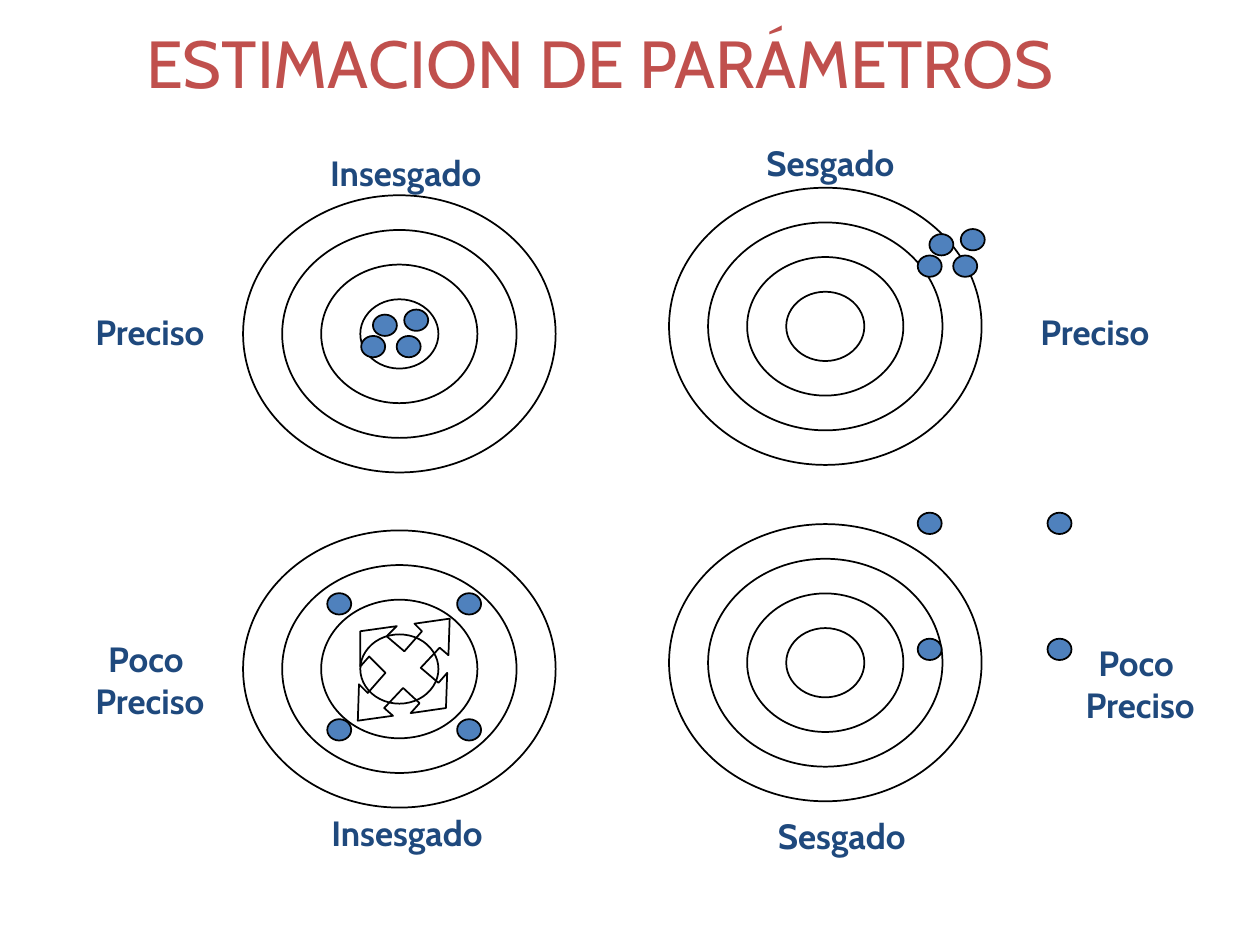
"""Build a slide on bias and precision in parameter estimation, with four targets."""
from pptx import Presentation
from pptx.dml.color import RGBColor
from pptx.enum.shapes import MSO_SHAPE as SHAPE
from pptx.enum.text import MSO_ANCHOR as ANCHOR, MSO_AUTO_SIZE as AUTO, PP_ALIGN as ALIGN
from pptx.util import Pt

RED = RGBColor(0xC0, 0x50, 0x4D)
NAVY = RGBColor(0x1F, 0x49, 0x7D)
BLUE = RGBColor(0x4F, 0x81, 0xBD)
BLACK = RGBColor(0, 0, 0)

TITLE_FONT = {"name": "Cabin", "size": Pt(38), "bold": False}
LABEL_FONT = {"name": "Cabin", "size": Pt(20), "bold": True}
LABEL_FRAME = {"word_wrap": False, "vertical_anchor": ANCHOR.MIDDLE,
               "auto_size": AUTO.SHAPE_TO_FIT_TEXT}


def outline(sp, fill=None):
    sp.shadow.inherit = False
    if fill is None:
        sp.fill.background()
    else:
        sp.fill.solid()
        sp.fill.fore_color.rgb = fill
    sp.line.color.rgb = BLACK
    sp.line.width = Pt(1)


def write(p, text, font, color):
    r = p.add_run()
    r.text = text
    for key, value in font.items():
        setattr(r.font, key, value)
    r.font.color.rgb = color


prs = Presentation()
prs.slide_width, prs.slide_height = Pt(720), Pt(540)
s = prs.slides.add_slide(prs.slide_layouts[5])

title = s.shapes.title
title.left, title.top, title.width, title.height = Pt(76.3), Pt(8.6), Pt(640.8), Pt(53.3)
p = title.text_frame.paragraphs[0]
p.alignment = ALIGN.LEFT
write(p, "ESTIMACION DE PARÁMETROS", TITLE_FONT, RED)

RING_W, RING_H = 178.6, 158.4
targets = [(228.2, 382.3), (471.6, 186.5), (471.6, 378.7), (228.2, 190.8)]
for cx, cy in targets:
    target = s.shapes.add_group_shape()
    for scale in (1, 0.25, 0.5, 0.75):
        w, h = RING_W * scale, RING_H * scale
        outline(target.shapes.add_shape(
            SHAPE.OVAL, Pt(cx - w / 2), Pt(cy - h / 2), Pt(w), Pt(h)))

DOT_W, DOT_H = 13.7, 12.2
TIGHT = [(20.3, 0), (0, 0), (6.7, -12.2), (24.6, -15.1)]
SPREAD = [(74.2, 0), (0, 0), (0, -72), (74.2, -72)]
clusters = [(206.4, 192, TIGHT), (524.4, 146, TIGHT),
            (187, 411, SPREAD), (524.4, 365, SPREAD)]
for x, y, offsets in clusters:
    cluster = s.shapes.add_group_shape()
    for dx, dy in offsets:
        outline(cluster.shapes.add_shape(
            SHAPE.OVAL, Pt(x + dx), Pt(y + dy), Pt(DOT_W), Pt(DOT_H)), BLUE)

labels = [
    (43.9, 173.5, 83.5, 31.7, ["Preciso"]),
    (583.9, 173.5, 83.5, 31.7, ["Preciso"]),
    (43.9, 360.7, 83.5, 55.4, ["Poco ", "Preciso"]),
    (609.8, 362.9, 83.5, 55.4, ["Poco ", "Preciso"]),
    (179.3, 460.1, 106.6, 31.7, ["Insesgado"]),
    (434.9, 461.5, 92.2, 31.7, ["Sesgado"]),
    (178.6, 82.8, 106.6, 31.7, ["Insesgado"]),
    (428.4, 77, 92.2, 31.7, ["Sesgado"]),
]
for x, y, w, h, lines in labels:
    tf = s.shapes.add_textbox(Pt(x), Pt(y), Pt(w), Pt(h)).text_frame
    for key, value in LABEL_FRAME.items():
        setattr(tf, key, value)
    for i, line in enumerate(lines):
        p = tf.add_paragraph() if i else tf.paragraphs[0]
        p.alignment = ALIGN.CENTER
        write(p, line, LABEL_FONT, NAVY)

arrow_points = [
    (205.9, 360.7), (205.9, 380.9), (211, 375.1), (220.3, 384.5),
    (210.2, 396), (205.2, 391), (204.5, 411.8), (224.6, 409),
    (219.6, 404.6), (230.4, 393.1), (239.8, 401.8), (234.7, 407.5),
    (254.9, 404.6), (255.6, 384.5), (250.6, 390.2), (240.5, 381.6),
    (251.3, 370.1), (256.3, 374.4), (257, 353.5), (236.9, 356.4),
    (241.2, 360.7), (231.1, 372.2), (221, 363.6), (226.8, 357.8),
]
corners = [(Pt(x), Pt(y)) for x, y in arrow_points]
builder = s.shapes.build_freeform(*corners[0])
builder.add_line_segments(corners[1:], close=True)
outline(builder.convert_to_shape())

prs.save("out.pptx")
